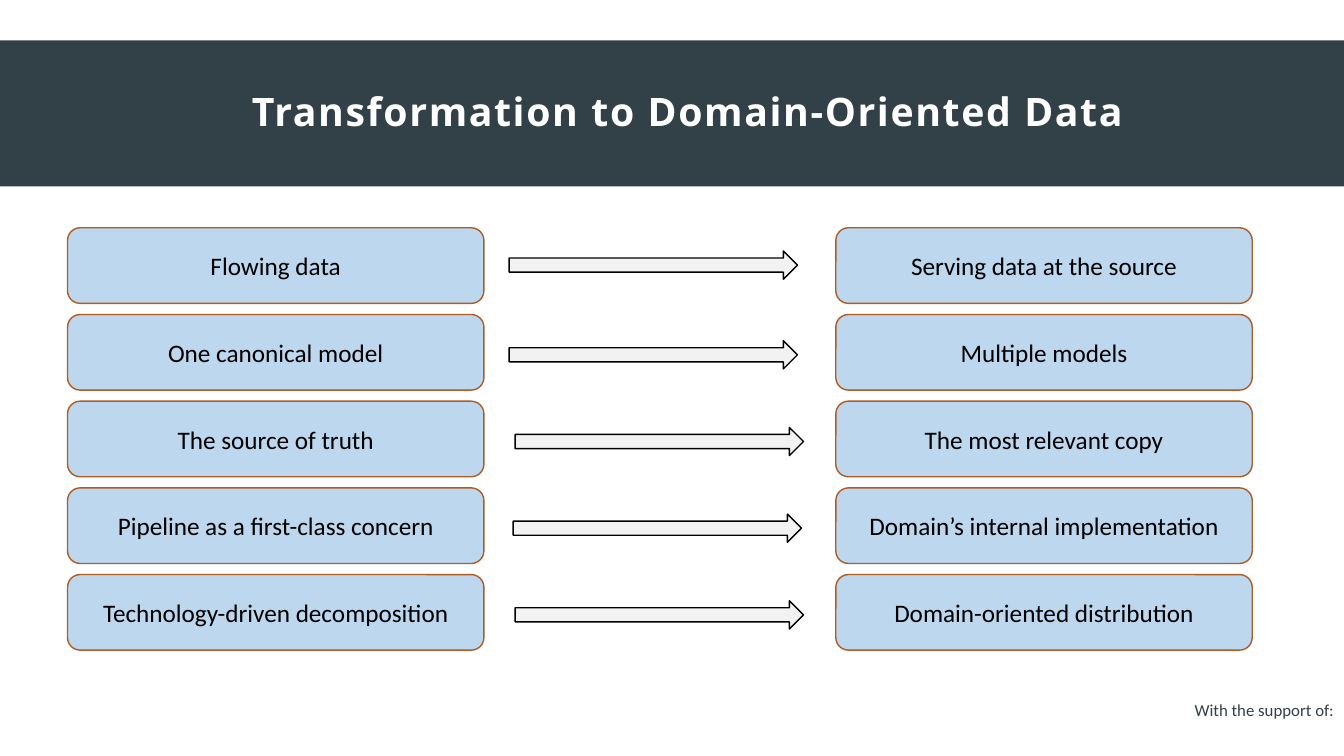
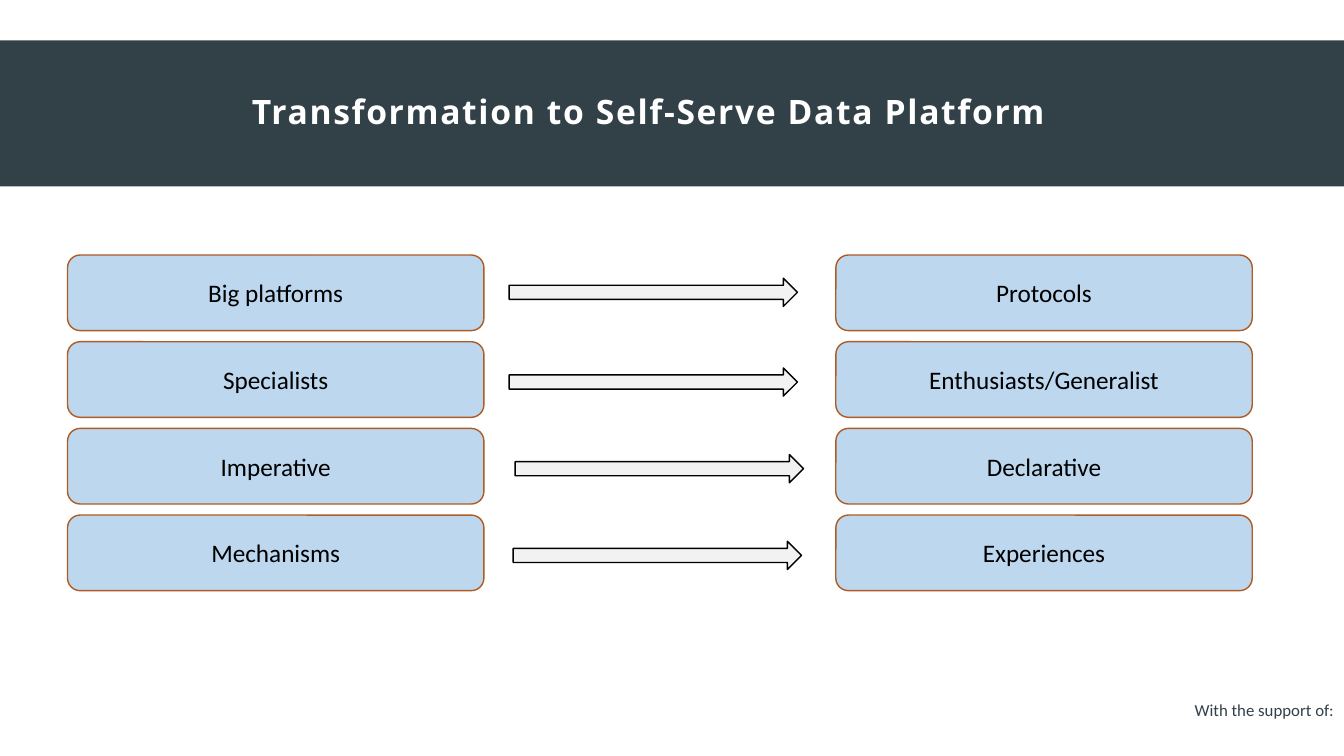
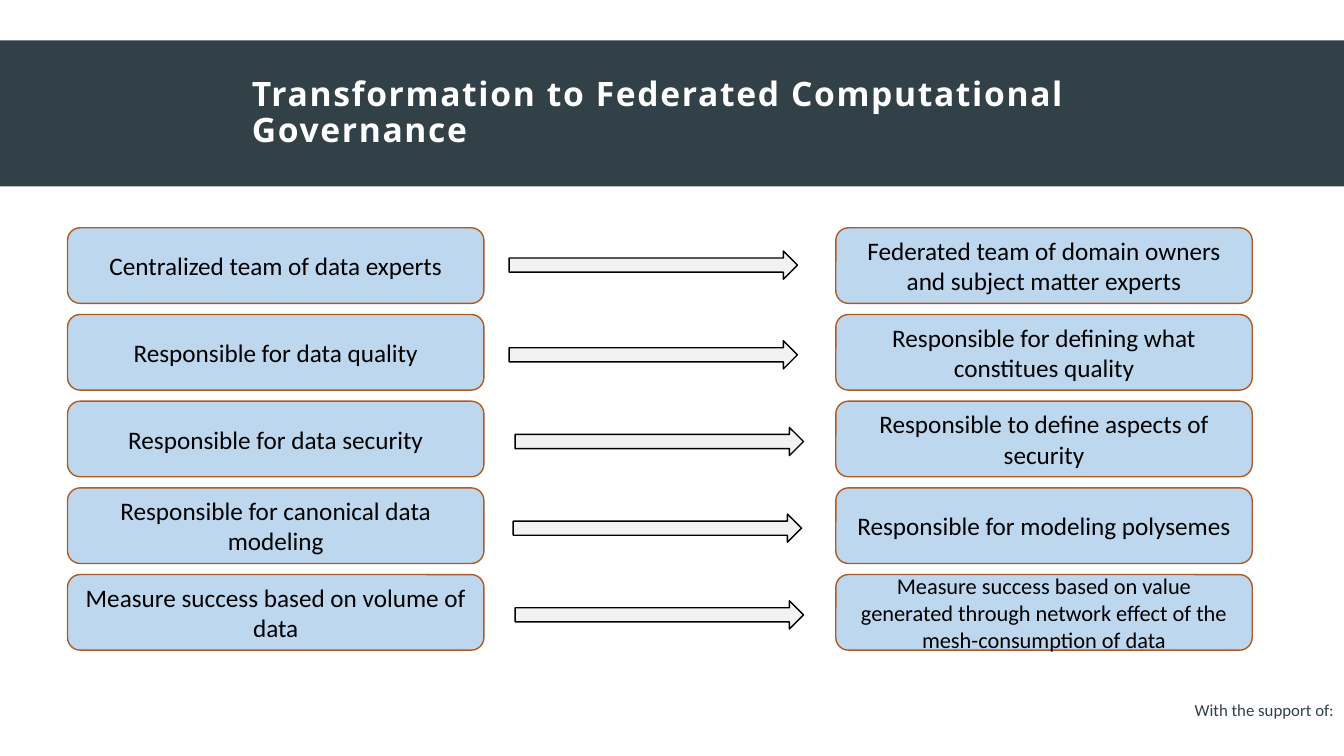
import pptx
import pptx.util
import pptx.dml.color
import pptx.enum.shapes
import pptx.enum.text
from dataclasses import dataclass

Inches = pptx.util.Inches
Shapes = pptx.enum.shapes.MSO_SHAPE
Align = pptx.enum.text.PP_ALIGN
Anchor = pptx.enum.text.MSO_ANCHOR


@dataclass(frozen=True)
class Theme:
    # Colours
    band: str = "324147"
    title: str = "FFFFFF"
    box: str = "BDD7EE"
    box_line: str = "AF5C24"
    arrow: str = "F2F2F2"
    ink: str = "000000"
    # Fonts and type sizes
    title_font: str = "Open Sans"
    body_font: str = "Calibri"
    title_size: int = 24
    large_title_size: int = 28
    body_size: int = 18
    dense_size: int = 16
    footer_size: int = 12
    title_tracking: int = 120


THEME = Theme()

# Row geometry, in inches
ROW_PITCH = 0.86
BOX_WIDTH, BOX_HEIGHT = 4.13, 0.75
LEFT_COLUMN, RIGHT_COLUMN = 0.67, 8.29
ARROW_WIDTH, ARROW_HEIGHT = 2.86, 0.28
# Left edge and drop below the row top, for each row's arrow
ARROW_PLACES = [(5.05, 0.23), (5.05, 0.26), (5.11, 0.26), (5.09, 0.26), (5.11, 0.26)]


def colour(value):
    return pptx.dml.color.RGBColor.from_string(value)


class Deck:
    """Holds the style and the slide being built."""

    def __init__(self, theme):
        self.theme = theme
        self.presentation = pptx.Presentation()
        self.presentation.slide_width = Inches(13.33)
        self.presentation.slide_height = Inches(7.5)
        self.slide = None

    def start_slide(self, title, title_size):
        layout = self.presentation.slide_layouts[6]
        self.slide = self.presentation.slides.add_slide(layout)
        self.shape(Shapes.RECTANGLE, (0, 0.4, 13.33, 1.45), self.theme.band)
        self.footer("With the support of:")
        self.title(title, title_size)

    def shape(self, kind, place, fill, line=None):
        shape = self.slide.shapes.add_shape(kind, *map(Inches, place))
        shape.shadow.inherit = False
        shape.fill.solid()
        shape.fill.fore_color.rgb = colour(fill)
        if line:
            shape.line.color.rgb = colour(line)
            shape.line.width = pptx.util.Pt(1)
        else:
            shape.line.fill.background()
        return shape

    def set_text(self, shape, text, align, anchor, ink, font, wrap=True):
        frame = shape.text_frame
        frame.word_wrap = wrap
        frame.vertical_anchor = anchor
        paragraph = frame.paragraphs[0]
        paragraph.alignment = align
        run = paragraph.add_run()
        run.text = text
        run.font.color.rgb = colour(ink)
        for name, value in font.items():
            setattr(run.font, name, value)
        return paragraph, run

    def title(self, text, size):
        shape = self.slide.shapes.add_textbox(*map(Inches, (2.4, 0.4, 10.02, 1.45)))
        font = {"name": self.theme.title_font, "size": pptx.util.Pt(size), "bold": True}
        paragraph, run = self.set_text(shape, text, Align.LEFT, Anchor.MIDDLE,
                                       self.theme.title, font)
        paragraph.line_spacing = 0.9
        run._r.get_or_add_rPr().set("spc", str(self.theme.title_tracking))

    def footer(self, text):
        shape = self.slide.shapes.add_textbox(*map(Inches, (11.74, 6.89, 1.6, 0.3)))
        font = {"name": self.theme.body_font, "size": pptx.util.Pt(self.theme.footer_size)}
        self.set_text(shape, text, Align.CENTER, Anchor.TOP, self.theme.band, font, wrap=False)

    def box(self, text, left, top, size):
        place = (left, top, BOX_WIDTH, BOX_HEIGHT)
        shape = self.shape(Shapes.ROUNDED_RECTANGLE, place, self.theme.box, self.theme.box_line)
        font = {"name": self.theme.body_font, "size": pptx.util.Pt(size)}
        self.set_text(shape, text, Align.CENTER, Anchor.MIDDLE, self.theme.ink, font)

    def arrow(self, left, top):
        place = (left, top, ARROW_WIDTH, ARROW_HEIGHT)
        self.shape(Shapes.RIGHT_ARROW, place, self.theme.arrow, self.theme.ink)

    def transformation(self, first_top, rows):
        """Draws one row per (before, after[, size of after]) entry."""
        for index, (before, after, *after_size) in enumerate(rows):
            top = first_top + index * ROW_PITCH
            arrow_left, arrow_drop = ARROW_PLACES[index]
            self.box(before, LEFT_COLUMN, top, self.theme.body_size)
            self.box(after, RIGHT_COLUMN, top, *(after_size or [self.theme.body_size]))
            self.arrow(arrow_left, top + arrow_drop)


# Title, title size, top of the first row, rows
SLIDES = [
    ("Transformation to Domain-Oriented Data", THEME.large_title_size, 2.26, [
        ("Flowing data", "Serving data at the source"),
        ("One canonical model", "Multiple models"),
        ("The source of truth", "The most relevant copy"),
        ("Pipeline as a first-class concern", "Domain’s internal implementation"),
        ("Technology-driven decomposition", "Domain-oriented distribution"),
    ]),
    ("Transformation to Self-Serve Data Platform", THEME.title_size, 2.53, [
        ("Big platforms", "Protocols"),
        ("Specialists", "Enthusiasts/Generalist"),
        ("Imperative", "Declarative"),
        ("Mechanisms", "Experiences"),
    ]),
    ("Transformation to Federated Computational Governance", THEME.title_size, 2.26, [
        ("Centralized team of data experts",
         "Federated team of domain owners and subject matter experts"),
        ("Responsible for data quality", "Responsible for defining what constitues quality"),
        ("Responsible for data security", "Responsible to define aspects of security"),
        ("Responsible for canonical data modeling", "Responsible for modeling polysemes"),
        ("Measure success based on volume of data",
         "Measure success based on value generated through network effect of the "
         "mesh-consumption of data", THEME.dense_size),
    ]),
]


def main():
    deck = Deck(THEME)
    for title, title_size, first_top, rows in SLIDES:
        deck.start_slide(title, title_size)
        deck.transformation(first_top, rows)
    deck.presentation.save("out.pptx")


if __name__ == "__main__":
    main()
